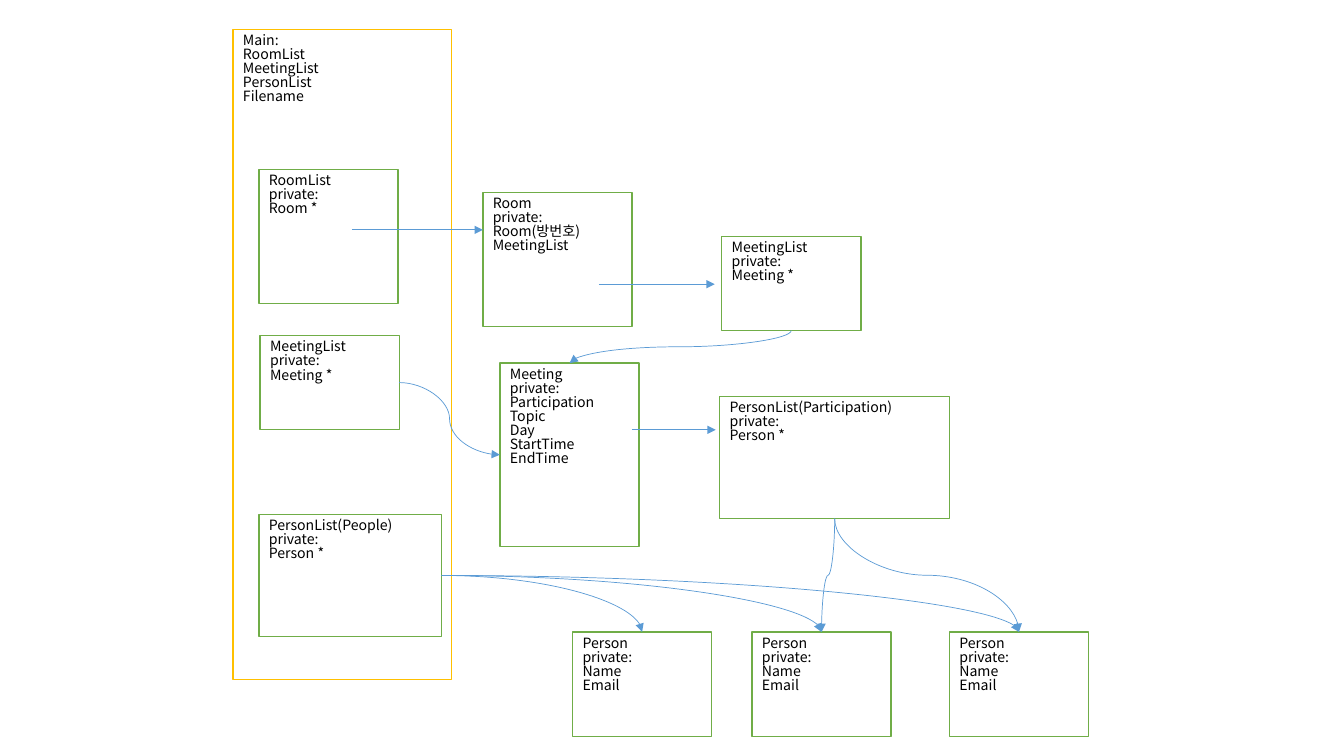
from lxml.etree import SubElement
from pptx import Presentation
from pptx.dml.color import RGBColor
from pptx.enum.shapes import MSO_CONNECTOR as Link, MSO_SHAPE as Preset
from pptx.enum.text import MSO_ANCHOR as Anchor, PP_ALIGN as Align
from pptx.oxml.ns import qn
from pptx.util import Pt

COLORS = {"paper": "FFFFFF", "ink": "000000", "main": "FFC000", "class": "70AD47", "arrow": "5B9BD5"}
CLASS_WIDTH = 99.4


def color(name):
    return RGBColor.from_string(COLORS[name])


def write(frame, text, font, size, ink, spacing):
    frame.text = text
    for paragraph in frame.paragraphs:
        paragraph.alignment = Align.LEFT
        paragraph.line_spacing = spacing
        for run in paragraph.runs:
            run.font.name = font
            run.font.size = Pt(size)
            run.font.color.rgb = color(ink)
            SubElement(run.font._element, qn("a:ea"), typeface=font)


def right(box):
    return (box.left + box.width).pt if hasattr(box.left + box.width, "pt") else (box.left + box.width) / Pt(1), \
        (box.top + box.height / 2) / Pt(1)


def left(box):
    return box.left / Pt(1), (box.top + box.height / 2) / Pt(1)


def top(box):
    return (box.left + box.width / 2) / Pt(1), box.top / Pt(1)


def bottom(box):
    return (box.left + box.width / 2) / Pt(1), (box.top + box.height) / Pt(1)


class Diagram:
    style = {"font": "Noto Sans CJK KR", "size": 10.1, "ink": "ink", "spacing": 0.83}

    def __init__(self, slide):
        self.slide = slide

    def box(self, text, x, y, height, width=CLASS_WIDTH, edge="class"):
        shape = self.slide.shapes.add_shape(Preset.RECTANGLE, Pt(x), Pt(y), Pt(width), Pt(height))
        shape.shadow.inherit = False
        shape.fill.solid()
        shape.fill.fore_color.rgb = color("paper")
        shape.line.color.rgb = color(edge)
        shape.line.width = Pt(1)
        frame = shape.text_frame
        frame.word_wrap = True
        frame.vertical_anchor = Anchor.TOP
        write(frame, text, **self.style)
        return shape

    def arrow(self, start, end, kind=Link.STRAIGHT):
        connector = self.slide.shapes.add_connector(kind, *(Pt(value) for value in (*start, *end)))
        connector.line.color.rgb = color("arrow")
        connector.line.width = Pt(0.5)
        properties = connector.element.spPr
        SubElement(properties.find(qn("a:ln")), qn("a:tailEnd"), type="triangle")
        SubElement(properties, qn("a:effectLst"))
        return properties

    def curve(self, start, end):
        return self.arrow(start, end, Link.CURVE)

    def bend(self, start, end):
        self.curve(start, end).find(qn("a:prstGeom")).set("prst", "curvedConnector2")

    def drop(self, start, end):
        (x1, y1), (x2, y2) = start, end
        middle_x, middle_y = (x1 + x2) / 2, (y1 + y2) / 2
        half_width, half_height = (y2 - y1) / 2, abs(x2 - x1) / 2
        turn = 90
        if x2 > x1:
            half_width, turn = -half_width, 270
        properties = self.curve((middle_x - half_width, middle_y - half_height),
                                (middle_x + half_width, middle_y + half_height))
        properties.find(qn("a:xfrm")).set("rot", str(turn * 60000))


def main():
    deck = Presentation()
    deck.slide_width, deck.slide_height = Pt(960), Pt(540)
    diagram = Diagram(deck.slides.add_slide(deck.slide_layouts[6]))

    diagram.box("Main:\nRoomList\nMeetingList\nPersonList\nFilename", 166.5, 21, 464.4, 156.2, "main")
    diagram.box("RoomList\nprivate:\nRoom *", 185, 121, 95.8)
    all_meetings = diagram.box("MeetingList\nprivate:\nMeeting *", 185.8, 239.8, 67)
    people = diagram.box("PersonList(People)\nprivate:\nPerson *", 185, 367.5, 87.1, 130.5)
    diagram.box("Room\nprivate:\nRoom(방번호)\nMeetingList", 344.9, 137.3, 95.8, 106.6)
    room_meetings = diagram.box("MeetingList\nprivate:\nMeeting *", 515.5, 169, 67)
    meeting = diagram.box("Meeting\nprivate:\nParticipation\nTopic\nDay\nStartTime\nEndTime",
                          357.1, 259.4, 131)
    participants = diagram.box("PersonList(Participation)\nprivate:\nPerson *", 514.1, 283.3, 87.1, 164.2)
    persons = [diagram.box("Person\nprivate:\nName\nEmail", x, 451.4, 74.9) for x in (409, 537.1, 678.2)]

    for y, start_x, end_x in ((164.2, 251.3, 344.9), (203, 427.7, 510.5), (307, 451.4, 511.2)):
        diagram.arrow((start_x, y), (end_x, y))
    diagram.curve(right(all_meetings), left(meeting))
    diagram.drop(bottom(room_meetings), top(meeting))
    for person in persons:
        diagram.bend(right(people), top(person))
    for person in persons[1:]:
        diagram.drop(bottom(participants), top(person))

    deck.save("out.pptx")


if __name__ == "__main__":
    main()
